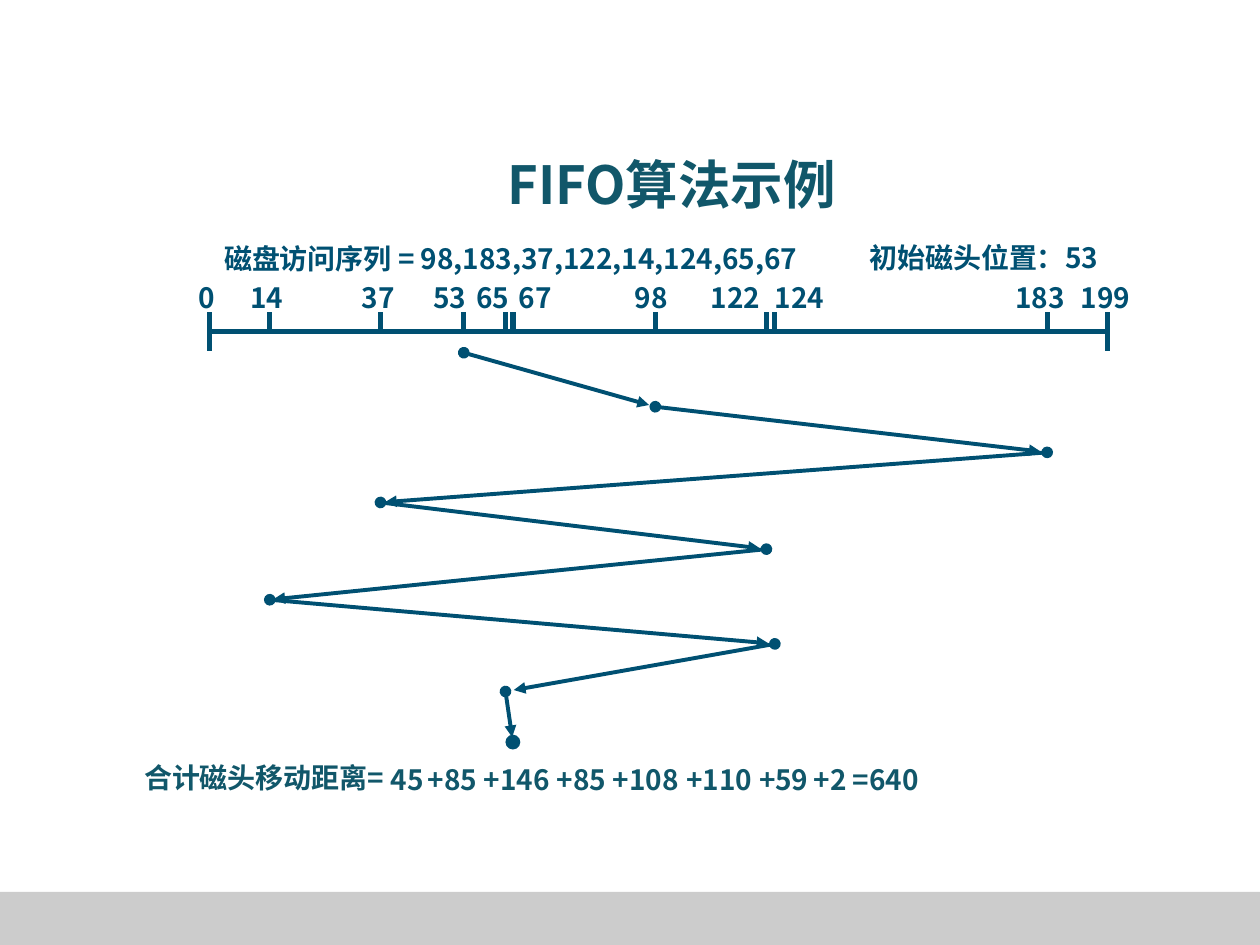
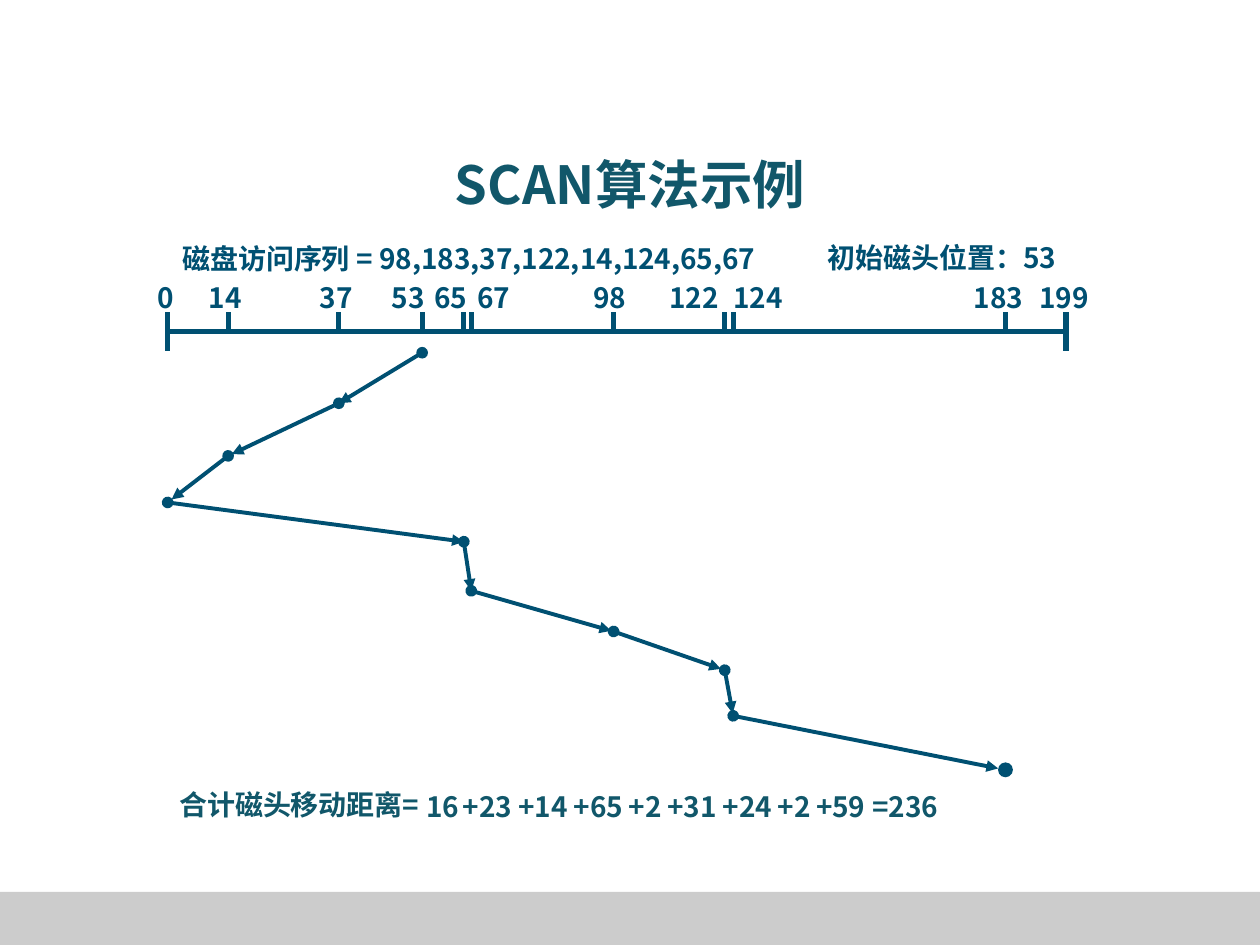
import math
from dataclasses import dataclass

import pptx
import pptx.dml.color
import pptx.enum.shapes
import pptx.enum.text
import pptx.oxml.ns
import pptx.util
from lxml import etree

Cm = pptx.util.Cm
Pt = pptx.util.Pt
Align = pptx.enum.text.PP_ALIGN
Anchor = pptx.enum.text.MSO_ANCHOR
Shape = pptx.enum.shapes.MSO_SHAPE
qn = pptx.oxml.ns.qn


@dataclass(frozen=True)
class Theme:
    heading: str = "11576A"
    diagram: str = "005072"
    band: str = "CCCCCC"
    font: str = "Noto Sans CJK SC"
    title_size: float = 30
    text_size: float = 16
    scale_line: float = 3
    route_line: float = 2.25


THEME = Theme()

# All lengths are in centimetres
SLIDE_W, SLIDE_H = 25.4, 19.05
BAND_H = 1.07
TITLE_W, TITLE_H, TITLE_TOP = 22.86, 1.42, 2.95
ROW_H = 0.94
SCALE_TOP = 6.68
DIGIT_W, SIGN_W, INSETS_W = 0.36, 0.43, 0.51
TERM_OVERLAP = 0.54

# Disk track: (tick offset, label offset) from the left end of the scale
TRACKS = {
    0: (0, -0.46), 14: (1.22, 0.58), 37: (3.45, 2.82), 53: (5.13, 4.27),
    65: (5.97, 5.13), 67: (6.12, 5.99), 98: (8.99, 8.33), 122: (11.23, 9.86),
    124: (11.4, 11.15), 183: (16.89, 16.0), 199: (18.11, 17.32),
}

# Head movement: (track, depth below the scale, gap left before the dot)
FIFO_ROUTE = [
    (53, 0.43, 0), (98, 1.52, 0.13), (183, 2.44, 0.13), (37, 3.45, 0.09),
    (122, 4.39, 0.13), (14, 5.41, 0.07), (124, 6.3, 0.13), (65, 7.26, 0.17),
    (67, 8.28, 0.1),
]
SCAN_ROUTE = [
    (53, 0.43, 0), (37, 1.45, 0), (14, 2.51, 0.08), (0, 3.45, 0.1),
    (65, 4.24, 0), (67, 5.23, 0), (98, 6.05, 0.05), (122, 6.83, 0.08),
    (124, 7.75, 0.05), (183, 8.84, 0.15),
]


def rgb(color):
    return pptx.dml.color.RGBColor.from_string(color)


def add_text(slide, text, left, top, width, color, height=ROW_H,
             size=THEME.text_size, align=Align.LEFT, anchor=Anchor.TOP, wrap=False):
    box = slide.shapes.add_textbox(Cm(left), Cm(top), Cm(width), Cm(height))
    frame = box.text_frame
    frame.text = text
    frame.word_wrap = wrap
    frame.vertical_anchor = anchor
    if not wrap:
        frame.auto_size = pptx.enum.text.MSO_AUTO_SIZE.SHAPE_TO_FIT_TEXT
    paragraph = frame.paragraphs[0]
    paragraph.alignment = align
    for run in paragraph.runs:
        run.font.name = THEME.font
        run.font.size = Pt(size)
        run.font.bold = True
        run.font.color.rgb = rgb(color)
        etree.SubElement(run.font._element, qn("a:ea"), typeface=THEME.font)


def add_solid(slide, preset, left, top, width, height, color):
    solid = slide.shapes.add_shape(preset, Cm(left), Cm(top), Cm(width), Cm(height))
    solid.shadow.inherit = False
    solid.fill.solid()
    solid.fill.fore_color.rgb = rgb(color)
    solid.line.fill.background()


def add_line(slide, start, end, weight, arrow=False):
    line = slide.shapes.add_connector(
        pptx.enum.shapes.MSO_CONNECTOR.STRAIGHT, *map(Cm, (*start, *end)))
    line.line.color.rgb = rgb(THEME.diagram)
    line.line.width = Pt(weight)
    if arrow:
        stroke = line.line._get_or_add_ln()
        etree.SubElement(stroke, qn("a:headEnd"), type="oval")
        etree.SubElement(stroke, qn("a:tailEnd"), type="triangle")
    etree.SubElement(line._element.spPr, qn("a:effectLst"))


def number_width(number):
    """Box width for a number that may start with a sign."""
    signs = sum(not mark.isdigit() for mark in number)
    return INSETS_W + signs * SIGN_W + (len(number) - signs) * DIGIT_W


def draw_frame(slide, title, title_left):
    # Footer band and title
    add_solid(slide, Shape.RECTANGLE, 0, SLIDE_H - BAND_H, SLIDE_W, BAND_H, THEME.band)
    add_text(slide, title, title_left, TITLE_TOP, TITLE_W, THEME.heading, TITLE_H,
             THEME.title_size, Align.CENTER, wrap=True)


def draw_scale(slide, left, top):
    # Request sequence and starting track
    add_text(slide, "磁盘访问序列 = 98,183,37,122,14,124,65,67",
             left + 0.05, top - 1.93, 12.55, THEME.diagram)
    add_text(slide, "初始磁头位置：53", left + 13.06, top - 1.96, 5.36, THEME.diagram)

    # Track numbers and ticks; the two end ticks reach below the scale
    tick_h = 0.39
    ends = min(TRACKS), max(TRACKS)
    for track, (tick, label) in TRACKS.items():
        add_text(slide, str(track), left + label, top - 1.14,
                 number_width(str(track)), THEME.diagram)
        x = left + tick
        bottom = top + tick_h if track in ends else top
        add_line(slide, (x, top - tick_h), (x, bottom), THEME.scale_line)
    start, end = (left + TRACKS[track][0] for track in ends)
    add_line(slide, (start, top), (end, top), THEME.scale_line)


def draw_route(slide, route, left, top):
    # Arrows from stop to stop, each ending a gap short of the next dot
    stops = [(left + TRACKS[track][0], top + depth) for track, depth, _ in route]
    for start, end, (_, _, gap) in zip(stops, stops[1:], route[1:]):
        share = 1 - gap / math.dist(start, end)
        tip = [a + (b - a) * share for a, b in zip(start, end)]
        add_line(slide, start, tip, THEME.route_line, arrow=True)

    # Final stop
    dot = 0.3
    x, y = stops[-1]
    add_solid(slide, Shape.OVAL, x - dot / 2, y - dot / 2, dot, dot, THEME.diagram)


def draw_total(slide, terms, left, top):
    # Sum of the distances, term after term
    style = dict(color=THEME.heading, align=Align.CENTER, anchor=Anchor.MIDDLE)
    add_text(slide, "合计磁头移动距离=", left, top, 5.51, **style)
    x = left + 5.03
    for term in terms:
        width = number_width(term)
        add_text(slide, term, x, top + 0.03, width, **style)
        x += width - TERM_OVERLAP


def build_example(deck, title, title_left, scale_left, route, terms, total_at):
    slide = deck.slides.add_slide(deck.slide_layouts[6])
    draw_frame(slide, title, title_left)
    draw_scale(slide, scale_left, SCALE_TOP)
    draw_route(slide, route, scale_left, SCALE_TOP)
    draw_total(slide, terms.split(), *total_at)


def main():
    deck = pptx.Presentation()
    deck.slide_width, deck.slide_height = Cm(SLIDE_W), Cm(SLIDE_H)
    build_example(deck, "FIFO算法示例", 2.11, 4.22, FIFO_ROUTE,
                  "45 +85 +146 +85 +108 +110 +59 +2 =640", (2.57, 15.21))
    build_example(deck, "SCAN算法示例", 1.27, 3.38, SCAN_ROUTE,
                  "16 +23 +14 +65 +2 +31 +24 +2 +59 =236", (3.28, 15.75))
    deck.save("out.pptx")


if __name__ == "__main__":
    main()
